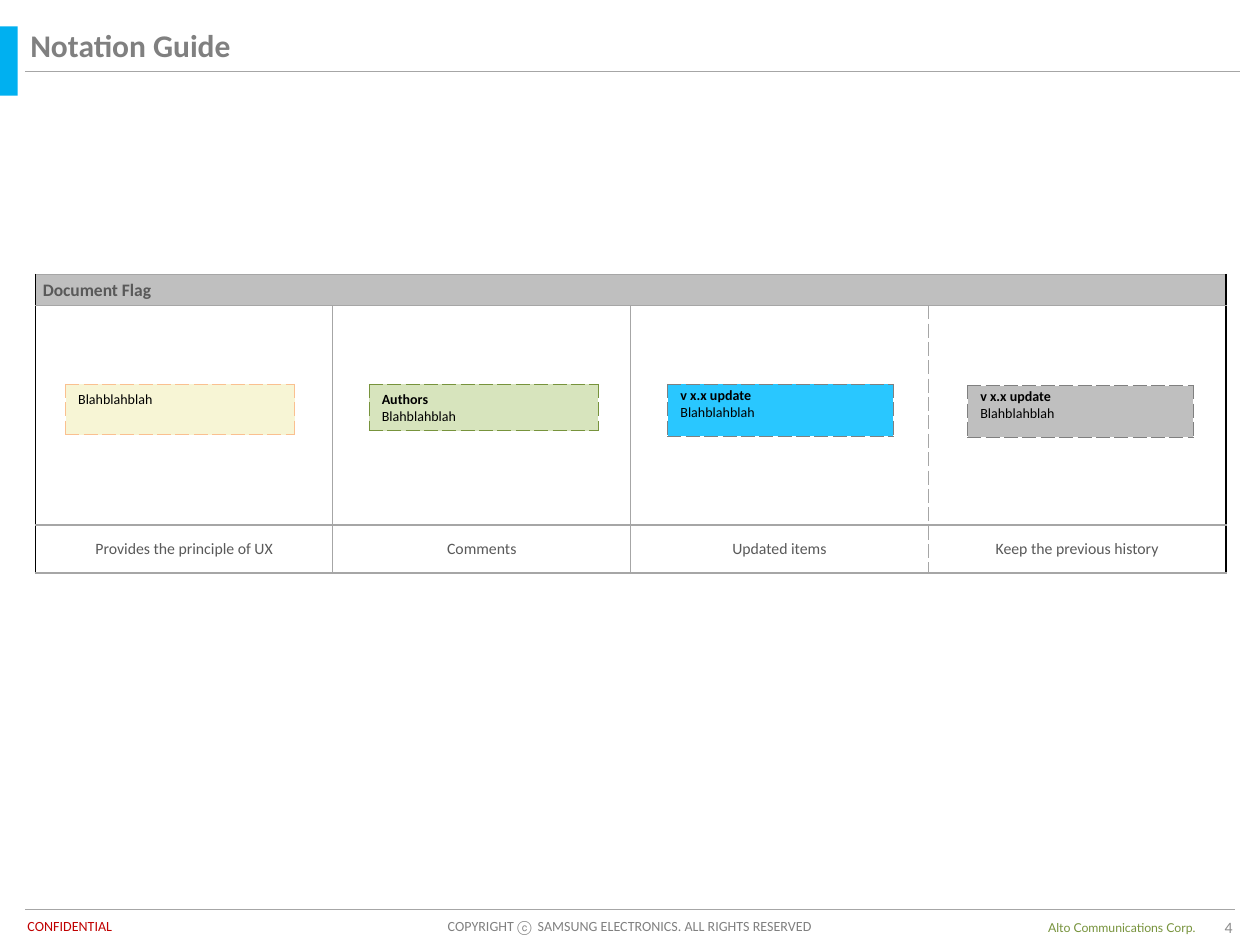
from lxml.etree import SubElement
from pptx import Presentation
from pptx.dml.color import RGBColor
from pptx.enum.shapes import MSO_CONNECTOR, MSO_SHAPE
from pptx.enum.text import MSO_ANCHOR, PP_ALIGN
from pptx.oxml.ns import qn
from pptx.util import Inches, Pt

RULE = RGBColor(0xA6, 0xA6, 0xA6)
GREY = RGBColor(0x80, 0x80, 0x80)
DARK = RGBColor(0x59, 0x59, 0x59)
SILVER = RGBColor(0xBF, 0xBF, 0xBF)
NUMBER = RGBColor(0x8C, 0x8C, 0x8C)
BLACK = RGBColor(0, 0, 0)
RED = RGBColor(0xC0, 0, 0)
ACCENT = RGBColor(0, 0xB0, 0xF0)
SKY = RGBColor(0x29, 0xC7, 0xFF)
OLIVE = RGBColor(0x77, 0x93, 0x3C)
LEAF = RGBColor(0xD7, 0xE4, 0xBD)
PEACH = RGBColor(0xFA, 0xC0, 0x90)
CREAM = RGBColor(0xF7, 0xF5, 0xD5)

GRID_COLUMNS, GRID_ROWS = 100, 75


def write(frame, text, size=8, color=BLACK, font="Calibri", bold=False,
          bold_first=False, align=PP_ALIGN.LEFT):
    for index, line in enumerate(text.split("\n")):
        para = frame.paragraphs[0] if index == 0 else frame.add_paragraph()
        para.alignment = align
        span = para.add_run()
        span.text = line
        span.font.name = font
        span.font.size = Pt(size)
        span.font.bold = bold or (bold_first and index == 0)
        span.font.color.rgb = color


class SlideBuilder:
    def __init__(self, deck):
        self.deck = deck
        self.page = deck.slides.add_slide(deck.slide_layouts[5])

    def x(self, columns):
        return round(self.deck.slide_width * columns / GRID_COLUMNS)

    def y(self, rows):
        return round(self.deck.slide_height * rows / GRID_ROWS)

    def place(self, left, top, width, height):
        return self.x(left), self.y(top), self.x(width), self.y(height)

    def title(self, text, *area, **style):
        box = self.page.shapes.title
        box.left, box.top, box.width, box.height = self.place(*area)
        box.text_frame.vertical_anchor = MSO_ANCHOR.TOP
        write(box.text_frame, text, **style)

    def text(self, text, *area, wrap=True, anchor=MSO_ANCHOR.TOP, **style):
        box = self.page.shapes.add_textbox(*self.place(*area))
        box.text_frame.word_wrap = wrap
        box.text_frame.vertical_anchor = anchor
        write(box.text_frame, text, **style)

    def bar(self, *area, color):
        box = self.page.shapes.add_shape(MSO_SHAPE.RECTANGLE, *self.place(*area))
        box.shadow.inherit = False
        box.fill.solid()
        box.fill.fore_color.rgb = color
        box.line.fill.background()

    def rule(self, left, right, row):
        line = self.page.shapes.add_connector(
            MSO_CONNECTOR.STRAIGHT, self.x(left), self.y(row), self.x(right), self.y(row))
        line.line.color.rgb = RULE
        line.line.width = Pt(0.75)
        SubElement(line._element.spPr, qn("a:effectLst"))

    def table(self, left, top, width, heights, columns):
        shape = self.page.shapes.add_table(
            len(heights), columns, *self.place(left, top, width, sum(heights)))
        table = shape.table
        table.first_row = table.horz_banding = False
        properties = table._tbl.tblPr
        properties.remove(properties.find(qn("a:tableStyleId")))
        for row, height in zip(table.rows, heights):
            row.height = self.y(height)
        return table

    def cell(self, cell, text="", fill=None, borders=None, margins=(0.1, 0.05),
             anchor=MSO_ANCHOR.TOP, **style):
        cell.margin_left = cell.margin_right = Inches(margins[0])
        cell.margin_top = cell.margin_bottom = Inches(margins[1])
        cell.vertical_anchor = anchor
        for side in "LRTB":
            if side in (borders or {}):
                self.border(cell, side, *borders[side])
        if fill is None:
            cell.fill.background()
        else:
            cell.fill.solid()
            cell.fill.fore_color.rgb = fill
        if text:
            write(cell.text_frame, text, **style)

    def border(self, cell, side, color, width, dash="solid"):
        line = SubElement(cell._tc.get_or_add_tcPr(), qn(f"a:ln{side}"), w=str(Pt(width)))
        fill = SubElement(line, qn("a:solidFill"))
        SubElement(fill, qn("a:srgbClr"), val=str(color))
        SubElement(line, qn("a:prstDash"), val=dash)

    def flag(self, text, left, top, width, height, fill, outline, **style):
        table = self.table(left, top, width, [height], 1)
        borders = dict.fromkeys("LRTB", (outline, 0.5, "sysDash"))
        self.cell(table.cell(0, 0), text, fill, borders, bold_first="\n" in text, **style)

    def guide(self, heading, captions):
        table = self.table(2.8, 21.8, 94.5, [2.4, 17.4, 3.8], len(captions))
        thin, thick = (RULE, 0.75), (RULE, 1)
        dividers = [None, thin, thin, (RULE, 0.5, "dash"), None]
        table.cell(0, 0).merge(table.cell(0, len(captions) - 1))
        for column, caption in enumerate(captions):
            sides = {"L": dividers[column], "R": dividers[column + 1]}
            sides = {side: line for side, line in sides.items() if line}
            self.cell(table.cell(0, column), "" if column else heading, SILVER,
                      {"T": thick, "B": thin}, (0.06, 0.04),
                      size=10, color=DARK, bold=True)
            self.cell(table.cell(1, column), borders={**sides, "T": thin, "B": thin})
            self.cell(table.cell(2, column), caption, None,
                      {**sides, "T": thin, "B": thick}, (0.07, 0.08), MSO_ANCHOR.MIDDLE,
                      size=9, color=DARK, align=PP_ALIGN.CENTER)


def main():
    deck = Presentation()
    deck.slide_width, deck.slide_height = Inches(10), Inches(7.5)
    builder = SlideBuilder(deck)

    builder.rule(2, 98, 72.2)
    builder.text("CONFIDENTIAL", 1.2, 72.3, 9, 2.4, wrap=False, color=RED)
    builder.text("COPYRIGHT ⓒ  SAMSUNG ELECTRONICS. ALL RIGHTS RESERVED",
                 24, 72.3, 52, 2.4, color=GREY, align=PP_ALIGN.CENTER)
    builder.text("Alto Communications Corp.", 82.2, 72.5, 14.6, 2.2, wrap=False,
                 anchor=MSO_ANCHOR.MIDDLE, size=7, color=OLIVE, font="Lato")
    builder.bar(0, 2.1, 1.4, 5.5, color=ACCENT)
    builder.rule(2, 98.4, 5.7)
    builder.title("Notation Guide", 1.4, 1.6, 96.6, 3.7, size=18, color=GREY, bold=True)

    builder.guide("Document Flag", ["Provides the principle of UX", "Comments",
                                    "Updated items", "Keep the previous history"])
    update = "v x.x update\nBlahblahblah"
    builder.flag("Blahblahblah", 5.2, 30.5, 18.2, 4, CREAM, PEACH)
    builder.flag("Authors\nBlahblahblah", 29.3, 30.5, 18.2, 3.7, LEAF, OLIVE,
                 anchor=MSO_ANCHOR.MIDDLE)
    builder.flag(update, 53, 30.5, 17.9, 4.1, SKY, GREY, margins=(0.1, 0.02))
    builder.flag(update, 76.8, 30.6, 17.9, 4.1, SILVER, GREY, margins=(0.1, 0.02))
    builder.text("4", 91.7, 72.6, 7.1, 1.9, anchor=MSO_ANCHOR.MIDDLE,
                 size=9, color=NUMBER, align=PP_ALIGN.RIGHT)

    deck.save("out.pptx")


if __name__ == "__main__":
    main()
